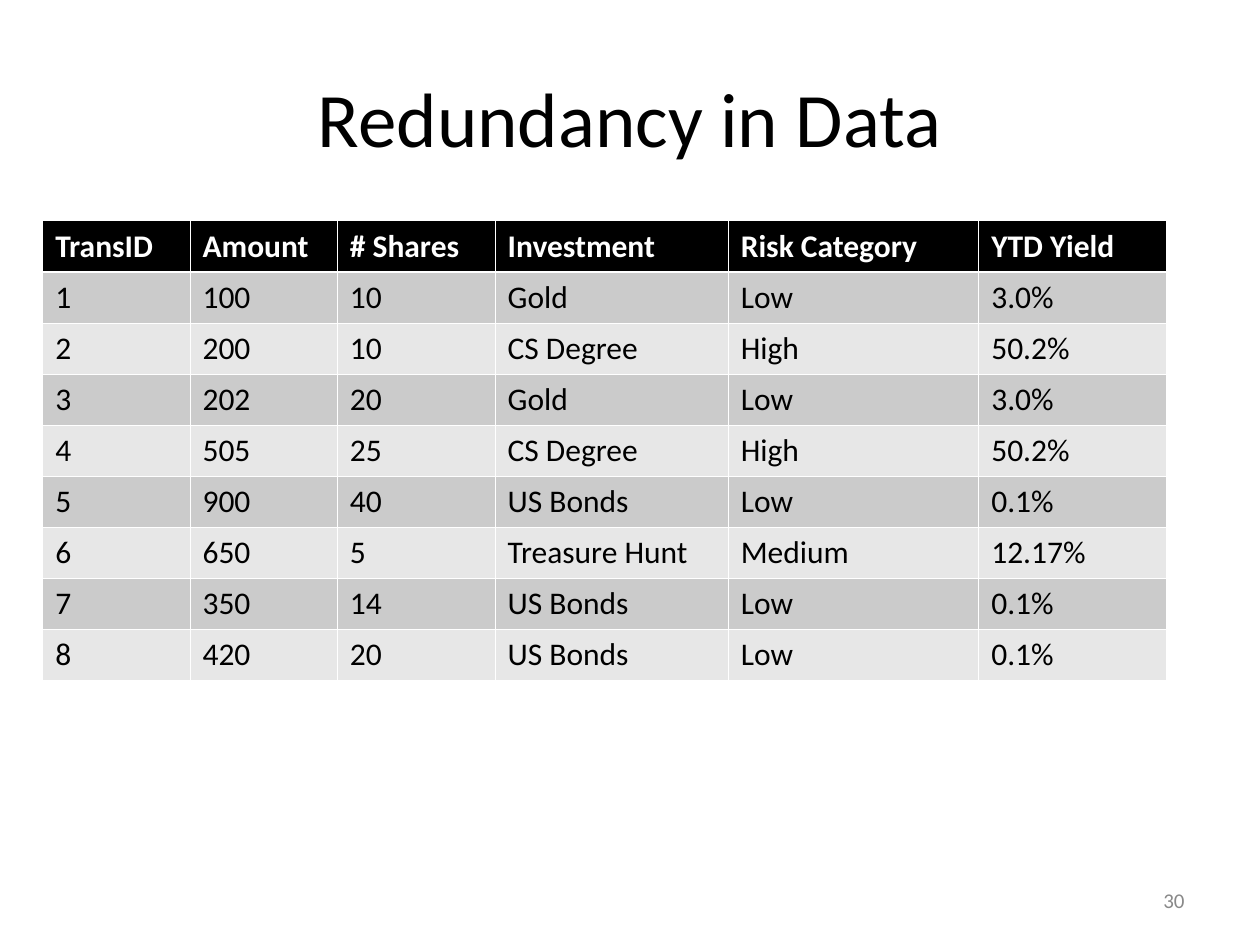
from lxml import etree
from pptx import Presentation
from pptx.dml.color import RGBColor
from pptx.enum.text import MSO_ANCHOR, PP_ALIGN
from pptx.oxml.ns import qn
from pptx.util import Cm, Pt

MIDDLE = MSO_ANCHOR.MIDDLE
CENTER, RIGHT = PP_ALIGN.CENTER, PP_ALIGN.RIGHT
TITLE_ONLY = 5

FONT = "Calibri"
COLORS = {
    "text": "000000",
    "header": "000000",
    "header_text": "FFFFFF",
    "band_dark": "CBCBCB",
    "band_light": "E7E7E7",
    "rule": "FFFFFF",
    "page_number": "898989",
}
THIN, THICK = Pt(0.45), Pt(1.47)

COLUMN_WIDTHS = [2.97, 2.97, 3.18, 4.7, 5.05, 3.78]
ROW_HEIGHT = 1.03
TRANSACTIONS = [
    ["TransID", "Amount", "# Shares", "Investment", "Risk Category", "YTD Yield"],
    ["1", "100", "10", "Gold", "Low", "3.0%"],
    ["2", "200", "10", "CS Degree", "High", "50.2%"],
    ["3", "202", "20", "Gold", "Low", "3.0%"],
    ["4", "505", "25", "CS Degree", "High", "50.2%"],
    ["5", "900", "40", "US Bonds", "Low", "0.1%"],
    ["6", "650", "5", "Treasure Hunt", "Medium", "12.17%"],
    ["7", "350", "14", "US Bonds", "Low", "0.1%"],
    ["8", "420", "20", "US Bonds", "Low", "0.1%"],
]


def set_text(frame, text, size, color, align=None, bold=False):
    frame.text = text
    paragraph = frame.paragraphs[0]
    paragraph.alignment = align
    font = paragraph.runs[0].font
    font.name, font.size, font.bold = FONT, Pt(size), bold
    font.color.rgb = RGBColor.from_string(COLORS[color])


def add_title(slide, text):
    title = slide.shapes.title
    title.left, title.top = Cm(1.27), Cm(0.76)
    title.width, title.height = Cm(22.86), Cm(3.18)
    title.text_frame.vertical_anchor = MIDDLE
    set_text(title.text_frame, text, 44, "text", CENTER)


def set_borders(cell, top, bottom):
    properties = cell._tc.get_or_add_tcPr()
    sides = {"a:lnL": THIN, "a:lnR": THIN, "a:lnT": top, "a:lnB": bottom}
    for tag, width in sides.items():
        line = etree.SubElement(properties, qn(tag), w=str(int(width)))
        fill = etree.SubElement(line, qn("a:solidFill"))
        etree.SubElement(fill, qn("a:srgbClr"), val=COLORS["rule"])


def format_cell(cell, text, row):
    is_header = row == 0
    if is_header:
        fill = "header"
    else:
        fill = "band_dark" if row % 2 else "band_light"
    # Borders come before the fill in the cell properties
    set_borders(cell, THICK if row == 1 else THIN, THICK if is_header else THIN)
    cell.fill.solid()
    cell.fill.fore_color.rgb = RGBColor.from_string(COLORS[fill])
    set_text(cell.text_frame, text, 18,
             "header_text" if is_header else "text", bold=is_header)


def add_transaction_table(slide):
    row_count, column_count = len(TRANSACTIONS), len(COLUMN_WIDTHS)
    table = slide.shapes.add_table(
        row_count, column_count, Cm(0.86), Cm(4.45),
        Cm(sum(COLUMN_WIDTHS)), Cm(ROW_HEIGHT * row_count)).table
    for column, width in zip(table.columns, COLUMN_WIDTHS):
        column.width = Cm(width)
    for row, values in enumerate(TRANSACTIONS):
        table.rows[row].height = Cm(ROW_HEIGHT)
        for column, value in enumerate(values):
            format_cell(table.cell(row, column), value, row)


def add_page_number(slide, number):
    box = slide.shapes.add_textbox(Cm(18.2), Cm(17.65), Cm(5.93), Cm(1.01))
    box.text_frame.word_wrap = True
    box.text_frame.vertical_anchor = MIDDLE
    set_text(box.text_frame, number, 12, "page_number", RIGHT)


def main():
    presentation = Presentation()
    presentation.slide_width, presentation.slide_height = Cm(25.4), Cm(19.05)
    slide = presentation.slides.add_slide(presentation.slide_layouts[TITLE_ONLY])

    add_title(slide, "Redundancy in Data")
    add_transaction_table(slide)
    add_page_number(slide, "30")

    presentation.save("out.pptx")


if __name__ == "__main__":
    main()
